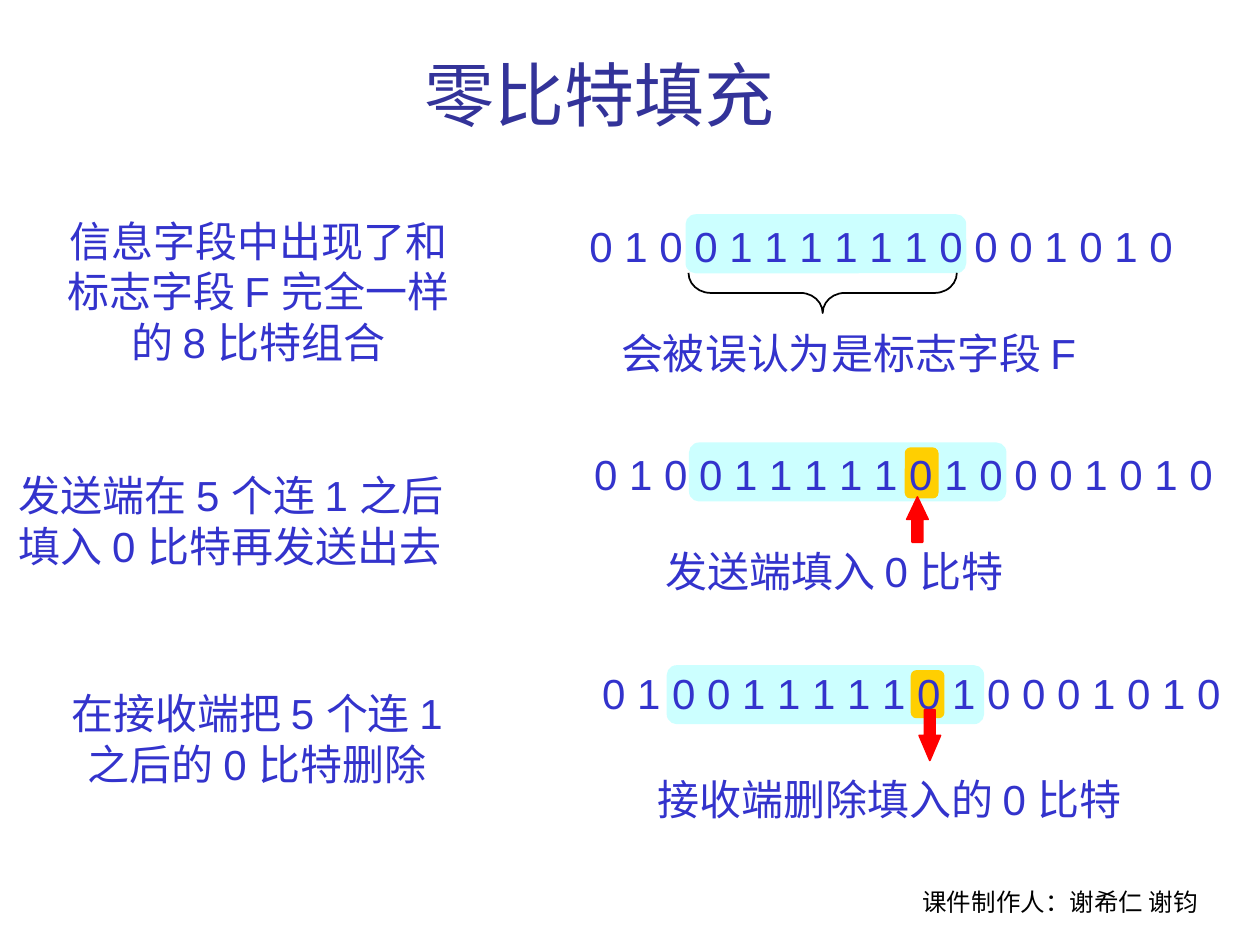
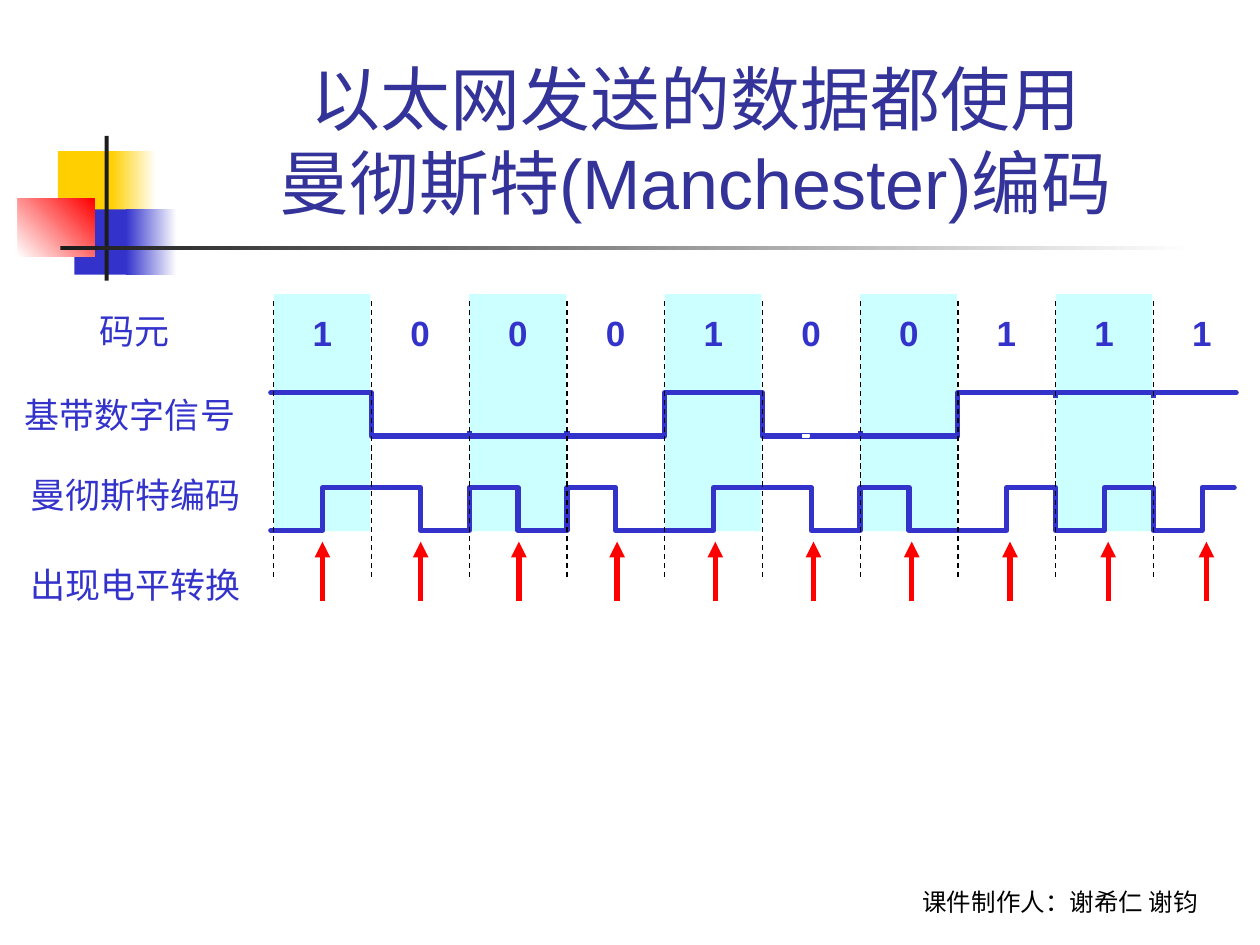
from dataclasses import dataclass
from itertools import pairwise
from typing import Any, Optional

from lxml import etree
from pptx import Presentation
from pptx import util as u
from pptx.dml.color import RGBColor
from pptx.enum import dml, shapes, text
from pptx.oxml.ns import qn

# Shared look; every length is in centimetres
BLUE, NAVY, BLACK, WHITE = "3333CC", "333399", "000000", "FFFFFF"
CYAN, GOLD, RED, DARK = "CCFFFF", "FFCF01", "FF0000", "1C1C1C"
LEFT, CENTER = text.PP_ALIGN.LEFT, text.PP_ALIGN.CENTER
TOP, BOTTOM = text.MSO_ANCHOR.TOP, text.MSO_ANCHOR.BOTTOM
KIND = shapes.MSO_SHAPE

Area = tuple[float, float, float, float]
Point = tuple[float, float]


@dataclass
class StuffingRow:
    explanation: str
    explanation_area: Area
    align: Any
    bits: str
    bits_area: Area
    band: Area
    note: str
    note_area: Area
    tile: Optional[Area] = None
    arrow: Optional[Area] = None
    arrow_kind: Any = None
    head: float = 1.0


@dataclass
class Block:
    area: Area
    start: str
    end: Optional[str] = None
    angle: float = 0


ROWS = [
    StuffingRow("信息字段中出现了和\n标志字段 F 完全一样\n的 8 比特组合", (0.89, 4.22, 8.64, 3.3), CENTER,
                "01001111110001010", (11.63, 4.32, 12.27, 1.27), (13.82, 4.32, 5.66, 1.19),
                "会被误认为是标志字段 F", (12.27, 6.48, 10.11, 1.27)),
    StuffingRow("发送端在 5 个连 1 之后\n填入 0 比特再发送出去", (0.13, 9.35, 9.88, 2.29), LEFT,
                "010011111010001010", (11.73, 8.92, 12.98, 1.27), (13.89, 8.92, 6.4, 1.19),
                "发送端填入 0 比特", (13.16, 10.87, 7.72, 1.27),
                (18.24, 9.02, 0.68, 1.03), (18.28, 10.02, 0.43, 0.91), KIND.UP_ARROW, 1.05),
    StuffingRow("在接收端把 5 个连 1\n之后的 0 比特删除", (0.89, 13.74, 8.59, 2.29), CENTER,
                "010011111010001010", (11.89, 13.34, 12.98, 1.27), (13.44, 13.41, 6.4, 1.19),
                "接收端删除填入的 0 比特", (13, 15.47, 10.26, 1.27),
                (18.36, 13.51, 0.68, 0.97), (18.53, 14.31, 0.43, 1.02), KIND.DOWN_ARROW, 1.17),
]

ORNAMENT = [
    Block((1.17, 3.05, 1.22, 1.32), GOLD),
    Block((2.24, 3.05, 0.91, 1.32), GOLD, WHITE),
    Block((1.5, 4.22, 1.17, 1.32), BLUE),
    Block((2.54, 4.22, 1.02, 1.32), BLUE, WHITE),
    Block((0.36, 4.01, 1.55, 1.17), WHITE, RED, 45),
    Block((2.11, 2.74, 0.08, 2.92), DARK),
    Block((1.22, 4.95, 22.86, 0.09), DARK, WHITE),
]

LABELS = [
    ("码元", (1.75, 6.12, 1.92, 1.09)),
    ("基带数字信号", (0.25, 7.8, 4.75, 1.09)),
    ("曼彻斯特编码", (0.36, 9.42, 4.75, 1.09)),
    ("出现电平转换", (0.36, 11.23, 4.75, 1.09)),
]

# Timing diagram
SYMBOLS = "1000100111"
FIRST_EDGE, BIT_WIDTH = 5.52, 1.97
BASEBAND = (8.79, 7.92)
MANCHESTER = (10.69, 9.83)
TICK = 0.1


def color(value: str) -> RGBColor:
    return RGBColor.from_string(value)


def place(item: Any, area: Area) -> None:
    for name, length in zip(("left", "top", "width", "height"), area):
        setattr(item, name, u.Cm(length))


def write(box: Any, words: str, size: float, font: str = "Arial", ink: str = BLUE,
          align: Any = LEFT, anchor: Any = TOP, bold: bool = False,
          wrap: bool = False) -> None:
    frame = box.text_frame
    frame.text = words
    layout = {"word_wrap": wrap, "auto_size": text.MSO_AUTO_SIZE.NONE, "vertical_anchor": anchor}
    for name, value in layout.items():
        setattr(frame, name, value)
    looks = {"name": font, "size": u.Pt(size), "bold": bold}
    for para in frame.paragraphs:
        para.alignment = align
        for span in para.runs:
            for name, value in looks.items():
                setattr(span.font, name, value)
            span.font.color.rgb = color(ink)


def add_text(page: Any, area: Area, words: str, size: float, **style: Any) -> None:
    box = page.shapes.add_textbox(*map(u.Cm, area))
    write(box, words, size, **style)


def add_block(page: Any, kind: Any, area: Area, fill: Optional[str] = None,
              line: Optional[str] = None, width: float = 1) -> Any:
    shape = page.shapes.add_shape(kind, *map(u.Cm, area))
    shape.shadow.inherit = False
    if fill:
        shape.fill.solid()
        shape.fill.fore_color.rgb = color(fill)
    else:
        shape.fill.background()
    if line:
        shape.line.color.rgb = color(line)
        shape.line.width = u.Pt(width)
    else:
        shape.line.fill.background()
    return shape


def add_rounded(page: Any, area: Area, fill: str) -> None:
    add_block(page, KIND.ROUNDED_RECTANGLE, area, fill).adjustments[0] = 0.17


def add_line(page: Any, start: Point, end: Point, ink: str, width: float,
             dashed: bool = False, arrow: bool = False) -> None:
    line = page.shapes.add_connector(shapes.MSO_CONNECTOR.STRAIGHT, *map(u.Cm, start + end))
    line.line.color.rgb = color(ink)
    line.line.width = u.Pt(width)
    if dashed:
        line.line.dash_style = dml.MSO_LINE.DASH
    properties = line._element.spPr
    if arrow:
        etree.SubElement(properties.find(qn("a:ln")), qn("a:tailEnd"), type="triangle")
    etree.SubElement(properties, qn("a:effectLst"))


def add_wave(page: Any, levels: str, step: float, heights: Point, end: float) -> None:
    """Draw a square wave, one step wide for each level."""
    points = [(FIRST_EDGE - 0.06, heights[int(levels[0])])]
    for index, (before, after) in enumerate(pairwise(levels), 1):
        if before != after:
            edge = FIRST_EDGE + index * step
            points += [(edge, heights[int(before)]), (edge, heights[int(after)])]
    points.append((end, heights[int(levels[-1])]))
    corners = [(u.Cm(x), u.Cm(y)) for x, y in points]
    builder = page.shapes.build_freeform(*corners[0])
    builder.add_line_segments(corners[1:], close=False)
    wave = builder.convert_to_shape()
    wave.shadow.inherit = False
    wave.fill.background()
    wave.line.color.rgb = color(BLUE)
    wave.line.width = u.Pt(3)
    outline = wave._element.spPr.find(qn("a:ln"))
    outline.set("cap", "rnd")
    etree.SubElement(outline, qn("a:round"))


def new_page(deck: Any, title: str, area: Area, **style: Any) -> Any:
    page = deck.slides.add_slide(deck.slide_layouts[5])
    place(page.shapes.title, area)
    write(page.shapes.title, title, 40, ink=NAVY, align=CENTER, wrap=True, **style)
    add_text(page, (17.35, 17.32, 8.05, 1.27), "课件制作人：谢希仁 谢钧", 14,
             font="Cabin", ink=BLACK, align=CENTER, anchor=BOTTOM, wrap=True)
    return page


def build_stuffing(deck: Any) -> None:
    page = new_page(deck, "零比特填充", (7.08, 0.91, 10, 1.96), font="Cabin")
    for row in ROWS:
        add_rounded(page, row.band, CYAN)
        if row.tile:
            add_rounded(page, row.tile, GOLD)
        add_text(page, row.bits_area, " ".join(row.bits), 24)
        add_text(page, row.explanation_area, row.explanation, 24, align=row.align)
        add_text(page, row.note_area, row.note, 24)
        if row.arrow:
            arrow = add_block(page, row.arrow_kind, row.arrow, RED, RED)
            arrow.adjustments[1] = row.head
    # Brace below the flag-like bits
    brace = add_block(page, KIND.LEFT_BRACE, (16.18, 3.2, 0.81, 5.41), line=BLACK)
    brace.rotation = 270
    brace.adjustments[0] = 0.55


def build_manchester(deck: Any) -> None:
    page = new_page(deck, "以太网发送的数据都使用\v曼彻斯特(Manchester)编码",
                    (3.2, 0.58, 21.64, 4.06), anchor=BOTTOM)
    # Corner ornament
    for block in ORNAMENT:
        shape = add_block(page, KIND.RECTANGLE, block.area, block.start)
        if block.end:
            shape.fill.gradient()
            shape.fill.gradient_angle = block.angle
            for stop, ink in zip(shape.fill.gradient_stops, (block.start, block.end)):
                stop.color.rgb = color(ink)
    for label, area in LABELS:
        add_text(page, area, label, 20)

    # Columns and symbols
    edges = [FIRST_EDGE + BIT_WIDTH * index for index in range(len(SYMBOLS))]
    for edge in edges[::2]:
        add_block(page, KIND.RECTANGLE, (edge, 5.93, 1.95, 4.78), CYAN)
    for edge, symbol in zip(edges, SYMBOLS):
        add_text(page, (edge + 0.53, 6.15, 0.9, 1.09), symbol, 20, bold=True, align=CENTER)

    # Signals, with a tick wherever the baseband level holds
    add_wave(page, SYMBOLS, BIT_WIDTH, BASEBAND, 24.92)
    for edge, (before, after) in zip(edges[1:], pairwise(SYMBOLS)):
        if before == after:
            level = BASEBAND[int(after)]
            shift = TICK if after == "1" else -TICK
            add_line(page, (edge, level), (edge, level + shift), BLUE, 3)
    halves = "".join("01" if symbol == "1" else "10" for symbol in SYMBOLS)
    add_wave(page, halves, BIT_WIDTH / 2, MANCHESTER, 24.88)
    add_block(page, KIND.RECTANGLE, (16.18, 8.76, 0.13, 0.05), WHITE, WHITE, 0.75)

    # Bit boundaries and transition arrows
    for edge in edges:
        add_line(page, (edge, 11.63), (edge, 6.05), BLACK, 0.75, dashed=True)
    for index in range(len(SYMBOLS)):
        x = 6.5 + 1.98 * index
        add_line(page, (x, 12.12), (x, 10.92), RED, 3, arrow=True)


def main() -> None:
    deck = Presentation()
    deck.slide_width, deck.slide_height = u.Cm(25.4), u.Cm(19.05)
    build_stuffing(deck)
    build_manchester(deck)
    deck.save("out.pptx")


if __name__ == "__main__":
    main()
